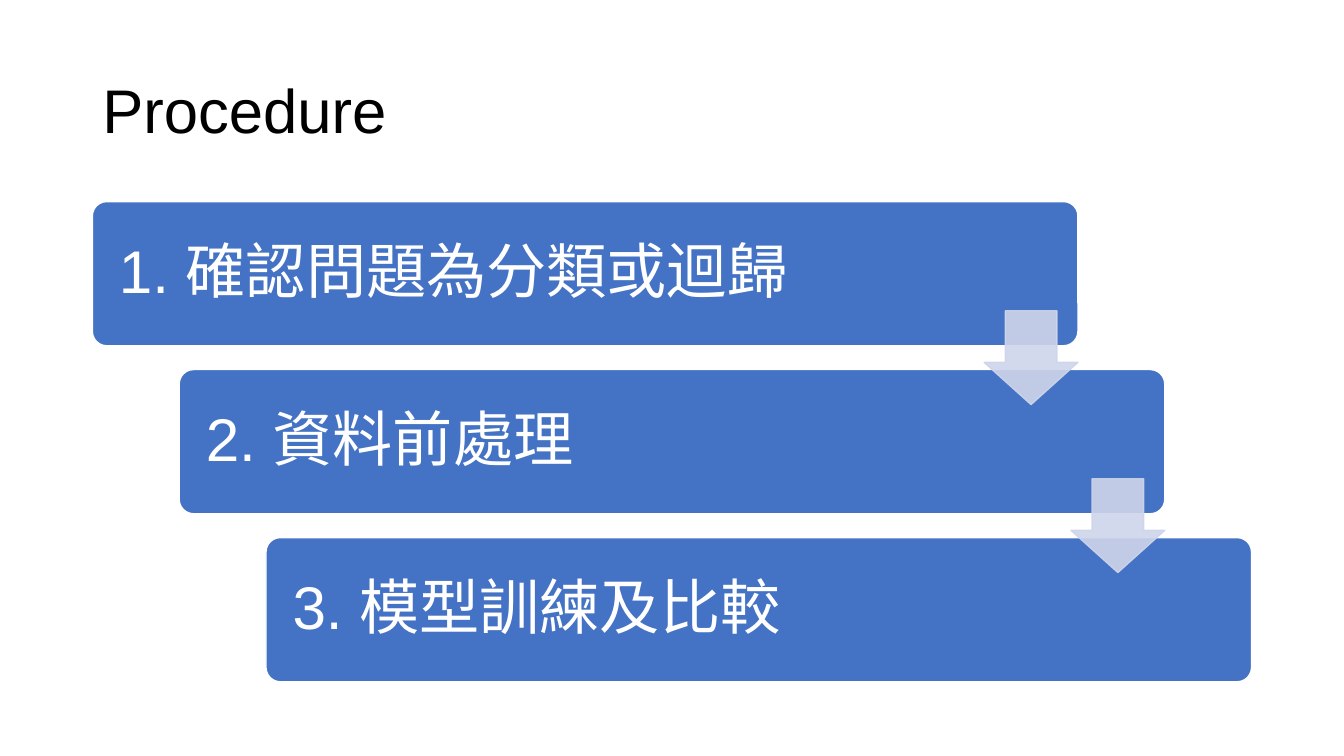
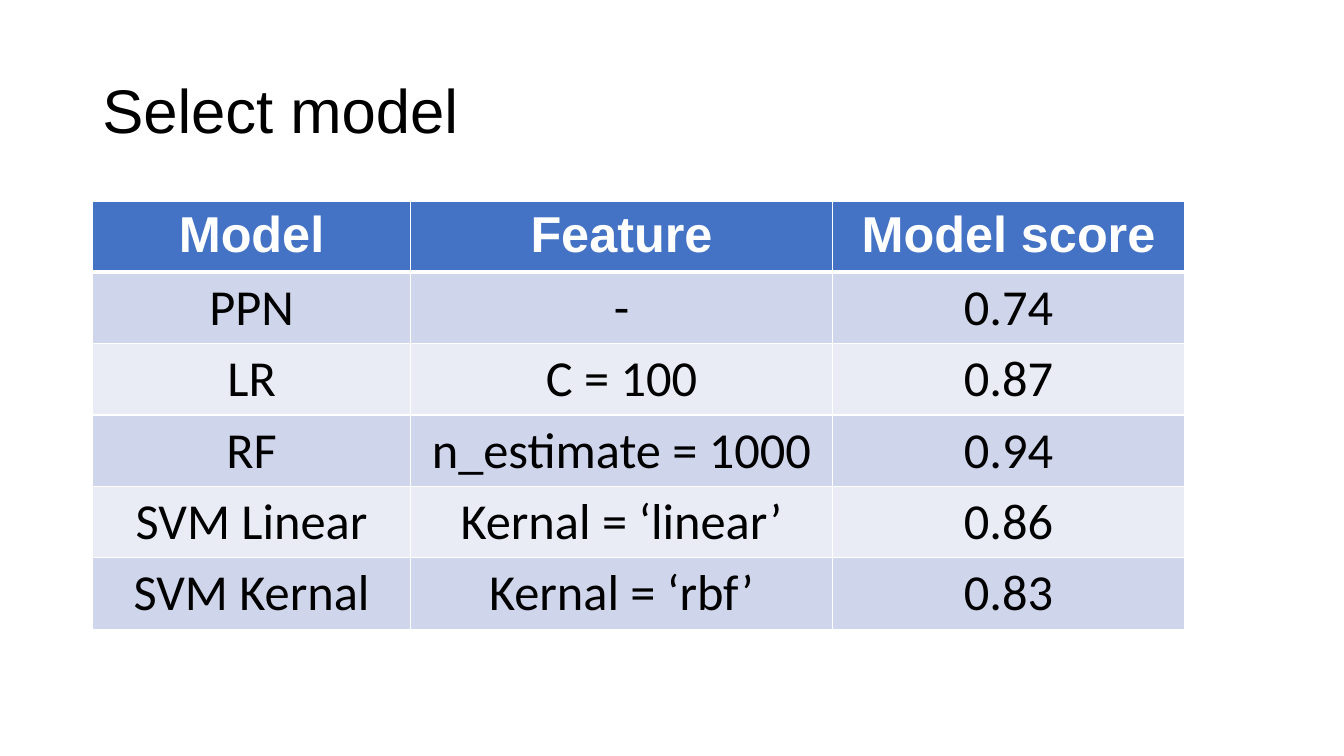
import pptx
import pptx.util
import pptx.dml.color
import pptx.enum.shapes
import pptx.enum.text
import pptx.oxml.ns
import lxml.etree

Pt = pptx.util.Pt
RGBColor = pptx.dml.color.RGBColor
MSO_SHAPE = pptx.enum.shapes.MSO_SHAPE
MSO_ANCHOR = pptx.enum.text.MSO_ANCHOR
PP_ALIGN = pptx.enum.text.PP_ALIGN
qn = pptx.oxml.ns.qn

# Shared style
WHITE = RGBColor(0xFF, 0xFF, 0xFF)
BLACK = RGBColor(0x00, 0x00, 0x00)
BLUE = RGBColor(0x44, 0x72, 0xC4)
PALE_BLUE = RGBColor(0xCF, 0xD5, 0xEA)
PALEST_BLUE = RGBColor(0xE9, 0xEB, 0xF5)
HEAD_FONT, BODY_FONT = "Arial", "Calibri"
TITLE_BOX = (66, 28.8, 828, 104.4)
CONTENT_LEFT, CONTENT_TOP, CONTENT_WIDTH = 66, 144, 828


def add_run(p, text, size, color, font=HEAD_FONT, bold=False):
    r = p.add_run()
    r.text = text
    r.font.size = Pt(size)
    r.font.name = font
    r.font.bold = bold
    r.font.color.rgb = color


def add_slide(prs, title):
    s = prs.slides.add_slide(prs.slide_layouts[6])
    tf = s.shapes.add_textbox(*map(Pt, TITLE_BOX)).text_frame
    tf.word_wrap = True
    tf.vertical_anchor = MSO_ANCHOR.MIDDLE
    p = tf.paragraphs[0]
    p.line_spacing = 0.9
    add_run(p, title, 44, BLACK)
    return s


def add_block(s, kind, box, adjustments, fill, line):
    sp = s.shapes.add_shape(kind, *map(Pt, box))
    sp.shadow.inherit = False
    for i, value in enumerate(adjustments):
        sp.adjustments[i] = value
    sp.fill.solid()
    sp.fill.fore_color.rgb = fill
    sp.line.color.rgb = line
    sp.line.width = Pt(1)
    return sp


def add_staircase(s, steps, left, top, width):
    bar_w, bar_h, pitch, arrow = 704, 103, 120, 67
    shift = (width - bar_w) / (len(steps) - 1)

    # Bars, each one step further right
    for i, text in enumerate(steps):
        box = (left + i * shift, top + i * pitch, bar_w, bar_h)
        sp = add_block(s, MSO_SHAPE.ROUNDED_RECTANGLE, box, [0.1], BLUE, WHITE)
        tf = sp.text_frame
        tf.word_wrap = True
        tf.vertical_anchor = MSO_ANCHOR.MIDDLE
        tf.margin_left = tf.margin_right = Pt(16)
        p = tf.paragraphs[0]
        p.alignment = PP_ALIGN.LEFT
        p.line_spacing = 0.9
        add_run(p, text, 43, WHITE)

    # Translucent arrows, centred on the gaps between bars
    for i in range(len(steps) - 1):
        gap_middle = top + i * pitch + (bar_h + pitch) / 2
        box = (left + i * shift + bar_w - arrow, gap_middle - arrow / 2, arrow, arrow)
        sp = add_block(s, MSO_SHAPE.DOWN_ARROW, box, [0.45, 0.55], PALE_BLUE, PALE_BLUE)
        # The preset's first value is the shaft width, the second the head length
        sp.adjustments[0], sp.adjustments[1] = 0.55, 0.45
        for color in sp._element.spPr.iter(qn("a:srgbClr")):
            lxml.etree.SubElement(color, qn("a:alpha"), val="90000")


def set_borders(cell, widths):
    tcPr = cell._tc.get_or_add_tcPr()
    for side, width in zip("LRTB", widths):
        ln = lxml.etree.SubElement(tcPr, qn("a:ln" + side), w=str(Pt(width)))
        fill = lxml.etree.SubElement(ln, qn("a:solidFill"))
        lxml.etree.SubElement(fill, qn("a:srgbClr"), val=str(WHITE))


def add_score_table(s, rows, left, top, col_widths):
    head_h, row_h = 48, 51
    height = head_h + row_h * (len(rows) - 1)
    table = s.shapes.add_table(len(rows), len(col_widths), Pt(left), Pt(top),
                               Pt(sum(col_widths)), Pt(height)).table
    for column, width in zip(table.columns, col_widths):
        column.width = Pt(width)
    for i, row in enumerate(rows):
        head = i == 0
        table.rows[i].height = Pt(head_h if head else row_h)
        for j, text in enumerate(row):
            cell = table.cell(i, j)
            # Thick rule between the header and the body
            set_borders(cell, (1, 1, 3 if i == 1 else 1, 3 if head else 1))
            cell.fill.solid()
            cell.fill.fore_color.rgb = BLUE if head else PALE_BLUE if i % 2 else PALEST_BLUE
            p = cell.text_frame.paragraphs[0]
            p.alignment = PP_ALIGN.CENTER
            add_run(p, text, 36, WHITE if head else BLACK,
                    HEAD_FONT if head else BODY_FONT, head)


prs = pptx.Presentation()
prs.slide_width, prs.slide_height = Pt(960), Pt(540)

# Procedure
s = add_slide(prs, "Procedure")
add_staircase(s, ["1. 確認問題為分類或迴歸", "2. 資料前處理", "3. 模型訓練及比較"],
              CONTENT_LEFT, CONTENT_TOP, CONTENT_WIDTH)

# Select model
s = add_slide(prs, "Select model")
add_score_table(s, [
    ("Model", "Feature", "Model score"),
    ("PPN", "-", "0.74"),
    ("LR", "C = 100", "0.87"),
    ("RF", "n_estimate = 1000", "0.94"),
    ("SVM Linear", "Kernal = ‘linear’", "0.86"),
    ("SVM Kernal", "Kernal = ‘rbf’", "0.83"),
], CONTENT_LEFT, CONTENT_TOP, (227.5, 301, 252))

prs.save("out.pptx")
